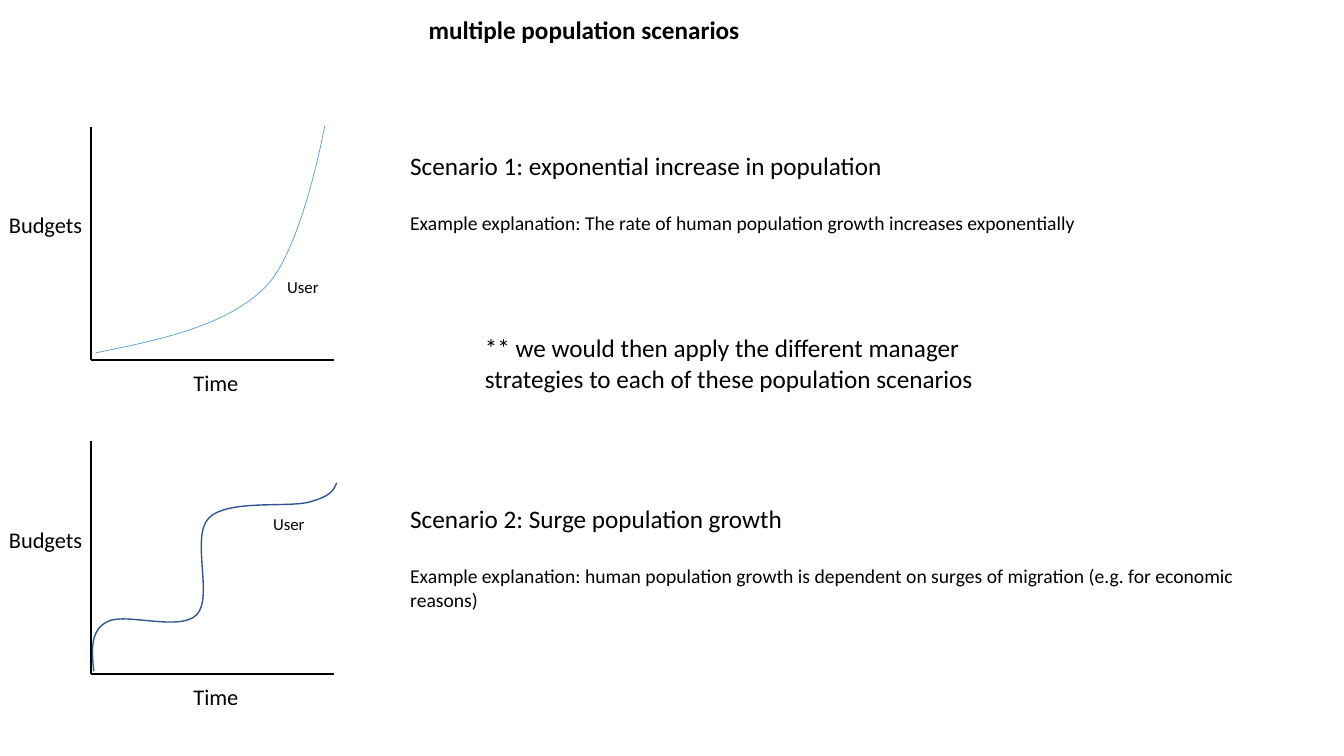
from lxml import etree
from pptx import Presentation
from pptx.dml.color import RGBColor
from pptx.enum.shapes import MSO_CONNECTOR
from pptx.enum.text import MSO_ANCHOR, MSO_AUTO_SIZE, PP_ALIGN
from pptx.oxml.ns import qn
from pptx.util import Inches, Pt

COLORS = {"ink": "000000", "exponential": "5B9BD5", "surge": "325491"}
FONT = "Calibri"

# Each curve is a start point followed by cubic Bezier control points.
EXPONENTIAL = [(0.95, 3.5), (1.6, 3.37), (2.25, 3.23), (2.63, 2.85),
               (3, 2.48), (3.22, 1.25), (3.22, 1.25)]
SURGE = [(0.93, 6.66), (0.91, 6.46), (0.89, 6.26), (1.06, 6.17),
         (1.23, 6.07), (1.78, 6.27), (1.95, 6.1),
         (2.12, 5.93), (1.89, 5.33), (2.07, 5.14),
         (2.26, 4.95), (2.86, 5.04), (3.07, 4.98),
         (3.29, 4.92), (3.31, 4.86), (3.34, 4.79)]


def style_line(line, color, width):
    """Set the colour and width (points) of a line."""
    line.color.rgb = RGBColor.from_string(COLORS[color])
    line.width = Pt(width)


def add_span(para, text, size, bold=False):
    """Add one formatted run to a paragraph."""
    span = para.add_run()
    span.text = text
    span.font.name = FONT
    span.font.size = Pt(size)
    span.font.bold = bold
    span.font.color.rgb = RGBColor.from_string(COLORS["ink"])


def add_text(page, left, top, width, height, lines, gap=0):
    """Add a text box of (text, size) lines, gap points apart."""
    box = page.shapes.add_textbox(Inches(left), Inches(top), Inches(width), Inches(height))
    box.text_frame.word_wrap = True
    for index, (text, size) in enumerate(lines):
        para = box.text_frame.add_paragraph() if index else box.text_frame.paragraphs[0]
        para.space_before = Pt(gap if index else 0)
        add_span(para, text, size)


def add_title(page, text):
    """Place and format the title placeholder."""
    title = page.shapes.title
    title.left, title.top = Inches(4.15), Inches(0.09)
    title.width, title.height = Inches(3.78), Inches(0.4)
    frame = title.text_frame
    frame.word_wrap = True
    frame.auto_size = MSO_AUTO_SIZE.NONE
    frame.vertical_anchor = MSO_ANCHOR.TOP
    para = frame.paragraphs[0]
    para.alignment = PP_ALIGN.LEFT
    add_span(para, text, 18, bold=True)


def add_axis(page, start, end):
    """Draw one straight axis between two points."""
    axis = page.shapes.add_connector(
        MSO_CONNECTOR.STRAIGHT, *(Inches(value) for value in start + end))
    style_line(axis.line, "ink", 1.5)
    etree.SubElement(axis._element.spPr, qn("a:effectLst"))


def bend_segments(curve, points):
    """Turn the straight segments of a freeform into cubic Bezier segments."""
    for index, segment in enumerate(list(curve._element.iter(qn("a:lnTo")))):
        bend = etree.Element(qn("a:cubicBezTo"))
        for x, y in points[3 * index + 1:3 * index + 4]:
            etree.SubElement(bend, qn("a:pt"), x=str(x - curve.left), y=str(y - curve.top))
        segment.getparent().replace(segment, bend)


def add_curve(page, controls, color, width):
    """Draw an open, unfilled Bezier curve."""
    points = [(Inches(x), Inches(y)) for x, y in controls]
    builder = page.shapes.build_freeform(*points[0])
    builder.add_line_segments(points[3::3], close=False)
    curve = builder.convert_to_shape()
    bend_segments(curve, points)
    curve.shadow.inherit = False
    curve.fill.background()
    style_line(curve.line, color, width)


def add_graph(page, top, controls, color, width, user_at):
    """Draw a budget-over-time graph with its labels."""
    left, right, bottom = 0.9, 3.31, top + 2.31
    add_axis(page, (left, top), (left, bottom))
    add_axis(page, (right, bottom), (left, bottom))
    add_curve(page, controls, color, width)
    add_text(page, 1.82, bottom + 0.04, 0.8, 0.37, [("Time", 16)])
    add_text(page, -0.01, top + 0.79, 1.17, 0.37, [("Budgets", 16)])
    add_text(page, *user_at, 1.04, 0.3, [("User", 12)])


def add_scenario(page, top, height, heading, explanation):
    """Add a scenario heading with its explanation."""
    add_text(page, 3.97, top, 8.54, height, [(heading, 18), (explanation, 14)], gap=22)


def main():
    """Build the slide and save the deck."""
    deck = Presentation()
    deck.slide_width, deck.slide_height = Inches(13.33), Inches(7.5)
    page = deck.slides.add_slide(deck.slide_layouts[5])
    add_title(page, "multiple population scenarios")
    add_graph(page, 1.26, EXPONENTIAL, "exponential", 0.5, (2.75, 2.7))
    add_graph(page, 4.38, SURGE, "surge", 1, (2.61, 5.05))
    add_scenario(page, 1.44, 0.94, "Scenario 1: exponential increase in population",
                 "Example explanation: The rate of human population growth increases exponentially")
    add_scenario(page, 4.94, 1.18, "Scenario 2: Surge population growth",
                 "Example explanation: human population growth is dependent on surges "
                 "of migration (e.g. for economic reasons)")
    add_text(page, 4.71, 3.25, 5.29, 0.71,
             [("** we would then apply the different manager strategies "
               "to each of these population scenarios", 18)])
    deck.save("out.pptx")


main()
